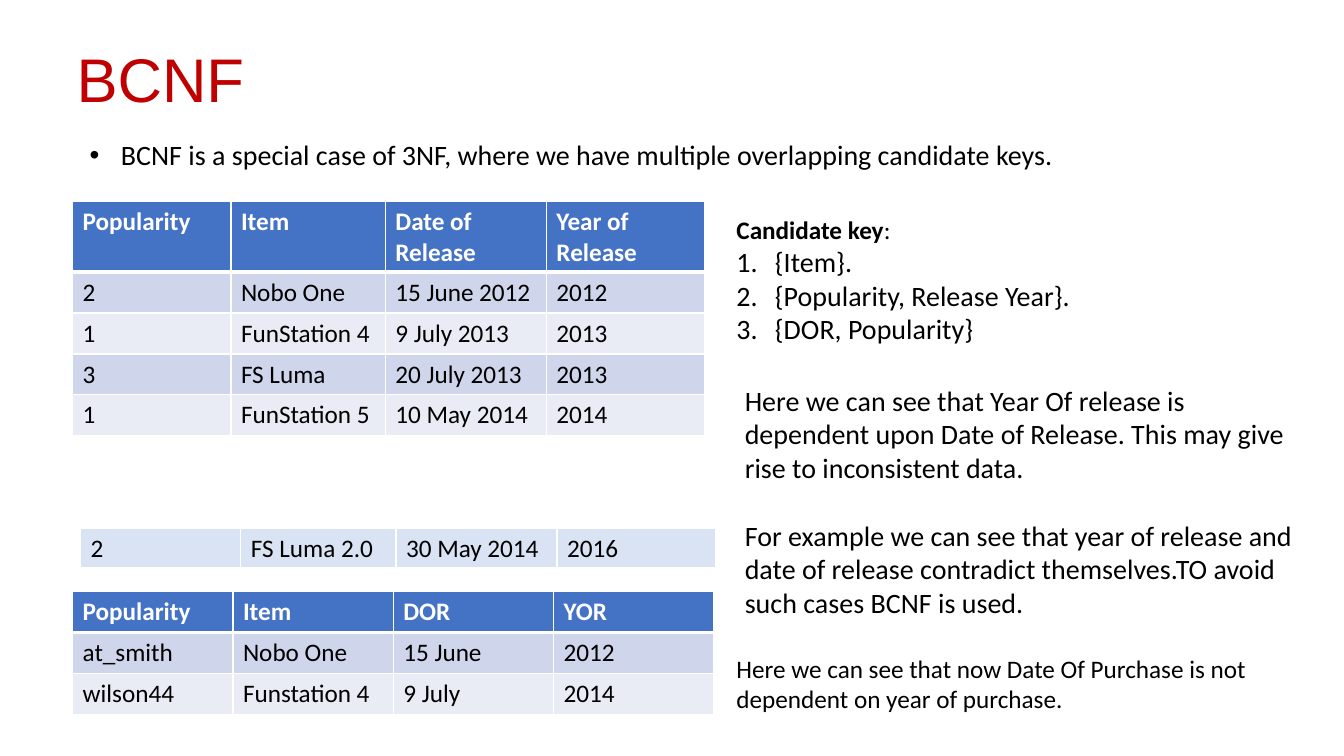
from lxml import etree
from pptx import Presentation
from pptx import util as u
from pptx.dml import color
from pptx.enum import text
from pptx.oxml import ns

theme = {
    "title": "C00000", "ink": "000000", "white": "FFFFFF",
    "header": "4472C4", "bands": ["CFD5EA", "E9EBF5"], "new_row": "DAE3F3",
    "title_font": "Arial", "font": "Calibri",
    "title_size": 44, "body": 20, "small": 18,
}


def style(paragraph, size, ink="ink", font="font", bold=False):
    for run in paragraph.runs:
        run.font.size = u.Pt(size)
        run.font.name = theme[font]
        run.font.bold = bold
        run.font.color.rgb = color.RGBColor.from_string(theme[ink])


def add_text(left, top, width, height, lines):
    box = slide.shapes.add_textbox(u.Cm(left), u.Cm(top), u.Cm(width), u.Cm(height))
    box.text_frame.word_wrap = True
    box.text_frame.text = "\n".join(lines)
    return box.text_frame


presentation = Presentation()
presentation.slide_width, presentation.slide_height = u.Cm(33.87), u.Cm(19.05)
slide = presentation.slides.add_slide(presentation.slide_layouts[6])

# Title
title = add_text(1.68, 0.91, 13.56, 2.13, ["BCNF"])
title.vertical_anchor = text.MSO_ANCHOR.MIDDLE
style(title.paragraphs[0], theme["title_size"], "title", "title_font")

# Introduction
intro = add_text(0.74, 3.35, 31.22, 1.96, [
    "BCNF is a special case of 3NF, where we have multiple overlapping candidate keys."])
style(intro.paragraphs[0], theme["body"])

# Candidate keys
keys = add_text(18.31, 5.28, 14.71, 5.13, [
    "Candidate key", "{Item}.", "{Popularity, Release Year}.", "{DOR, Popularity}"])
heading, *key_lines = keys.paragraphs
style(heading, theme["small"], bold=True)
colon = heading.add_run()
colon.text = ":"
colon.font.size, colon.font.name = u.Pt(theme["small"]), theme["font"]
colon.font.color.rgb = color.RGBColor.from_string(theme["ink"])
for paragraph in key_lines:
    style(paragraph, theme["body"])

# Bullet and numbering: paragraph, left margin, hanging indent, marker, value
listed = [(intro.paragraphs[0], 2.06, 0.79, "a:buChar", {"char": "•"})]
listed += [(paragraph, 0.97, 0.97, "a:buAutoNum", {"type": "arabicPeriod"})
           for paragraph in key_lines]
for paragraph, margin, hanging, marker, value in listed:
    properties = paragraph._p.get_or_add_pPr()
    properties.set("marL", str(u.Cm(margin)))
    properties.set("indent", str(-u.Cm(hanging)))
    etree.SubElement(properties, ns.qn("a:buFont"), typeface=theme["title_font"])
    etree.SubElement(properties, ns.qn(marker), **value)

# Explanation
explanation = add_text(18.52, 9.53, 14.53, 6.25, [
    "Here we can see that Year Of release is dependent upon Date of Release. "
    "This may give rise to inconsistent data.",
    "For example we can see that year of release and date of release contradict "
    "themselves.TO avoid such cases BCNF is used."])
for paragraph in explanation.paragraphs:
    style(paragraph, theme["body"])
explanation.paragraphs[1].space_before = u.Pt(24.4)

# Conclusion
conclusion = add_text(18.31, 16.33, 13.61, 1.8, [
    "Here we can see that now Date Of Purchase is not dependent on year of purchase."])
style(conclusion.paragraphs[0], theme["small"])

# Tables: left, top, column widths, first row height, has header, rows
row_height = 1.03
tables = [
    (1.83, 5.08, [3.99, 3.89, 4.06, 3.99], 1.75, True, [
        ["Popularity", "Item", "Date of Release", "Year of Release"],
        ["2", "Nobo One", "15 June 2012", "2012"],
        ["1", "FunStation 4", "9 July 2013", "2013"],
        ["3", "FS Luma", "20 July 2013", "2013"],
        ["1", "FunStation 5", "10 May 2014", "2014"]]),
    (2.03, 13.31, [4.04, 3.91, 4.06, 3.99], row_height, False, [
        ["2", "FS Luma 2.0", "30 May 2014", "2016"]]),
    (1.83, 14.91, [4.04] * 4, row_height, True, [
        ["Popularity", "Item", "DOR", "YOR"],
        ["at_smith", "Nobo One", "15 June", "2012"],
        ["wilson44", "Funstation 4", "9 July", "2014"]]),
]
for left, top, widths, first_height, has_header, rows in tables:
    height = first_height + row_height * (len(rows) - 1)
    table = slide.shapes.add_table(
        len(rows), len(widths), u.Cm(left), u.Cm(top), u.Cm(sum(widths)), u.Cm(height)).table
    table.first_row = has_header
    for column, width in zip(table.columns, widths):
        column.width = u.Cm(width)
    for r, values in enumerate(rows):
        table.rows[r].height = u.Cm(row_height if r else first_height)
        is_header = has_header and r == 0
        if is_header:
            fill = theme["header"]
        else:
            fill = theme["bands"][(r - 1) % 2] if has_header else theme["new_row"]
        for c, value in enumerate(values):
            cell = table.cell(r, c)
            cell.text = value
            style(cell.text_frame.paragraphs[0], theme["small"],
                  "white" if is_header else "ink", bold=is_header)
            # White borders, thicker under the first row
            for side in "LRTB":
                thick = (side == "B" and r == 0) or (side == "T" and r == 1)
                line = etree.SubElement(cell._tc.get_or_add_tcPr(), ns.qn("a:ln" + side),
                                        w=str(u.Pt(3 if thick else 1)))
                solid = etree.SubElement(line, ns.qn("a:solidFill"))
                etree.SubElement(solid, ns.qn("a:srgbClr"), val=theme["white"])
            cell.fill.solid()
            cell.fill.fore_color.rgb = color.RGBColor.from_string(fill)

presentation.save("out.pptx")
